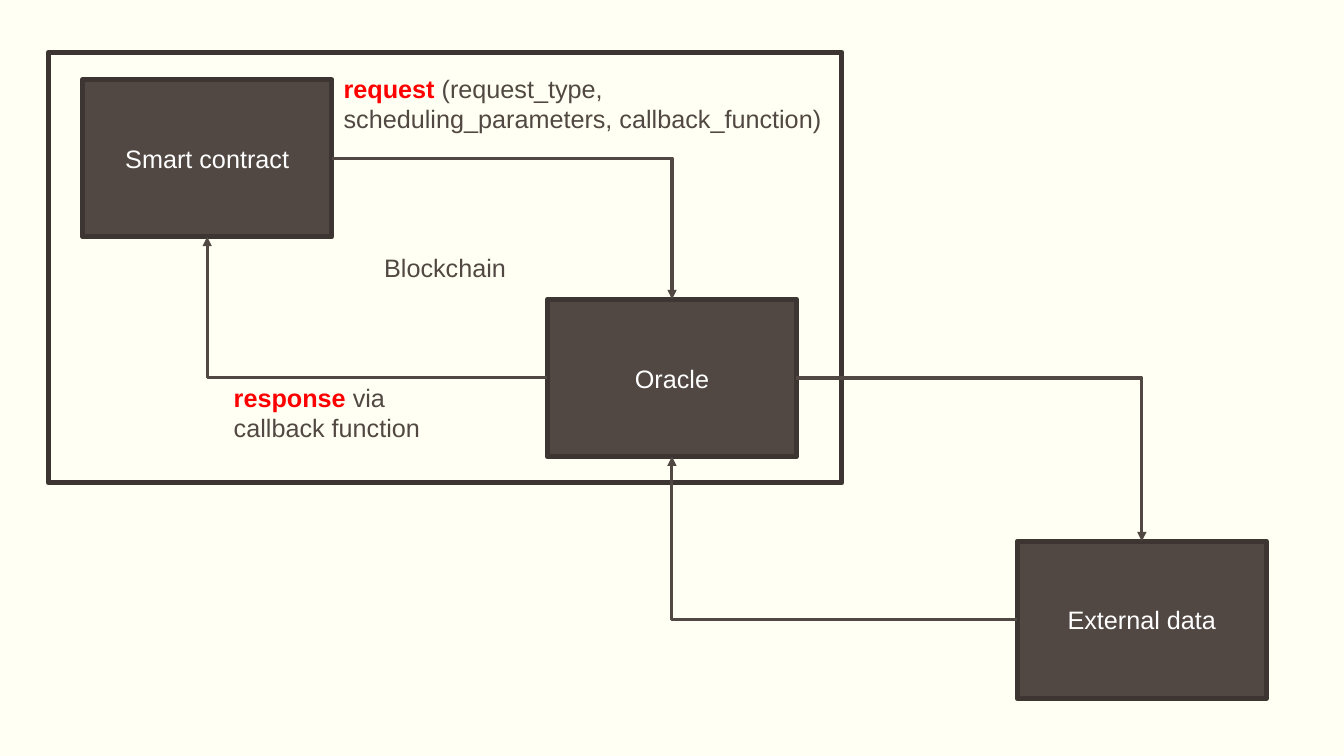
from dataclasses import dataclass

from pptx import Presentation
from pptx.dml.color import RGBColor
from pptx.enum.shapes import MSO_CONNECTOR, MSO_SHAPE
from pptx.enum.text import MSO_ANCHOR, MSO_AUTO_SIZE, PP_ALIGN
from pptx.oxml.ns import qn
from pptx.oxml.xmlchemy import OxmlElement
from pptx.util import Inches, Pt

TOP, LEFT, BOTTOM, RIGHT = range(4)


@dataclass(frozen=True)
class Theme:
    background: str = "FFFFF3"
    brown: str = "514843"
    border: str = "3C3532"
    light: str = "FFFFFF"
    accent: str = "FF0000"
    font: str = "Arial"
    text_size: float = 18
    border_width: float = 3.78
    arrow_width: float = 2.25


def rgb(color):
    return RGBColor.from_string(color)


def add_text(paragraph, text, *, color, font, size, bold=False):
    run = paragraph.add_run()
    run.text = text
    run.font.name = font
    run.font.size = Pt(size)
    run.font.bold = bold
    run.font.color.rgb = rgb(color)


class Diagram:
    def __init__(self, slide, theme):
        self.slide = slide
        self.theme = theme
        self.text_format = {"font": theme.font, "size": theme.text_size}
        slide.background.fill.solid()
        slide.background.fill.fore_color.rgb = rgb(theme.background)

    def box(self, label, left, top, width=2.47, height=1.56, filled=True):
        """Draw a bordered rectangle with a centred label."""
        theme = self.theme
        box = self.slide.shapes.add_shape(
            MSO_SHAPE.RECTANGLE, Inches(left), Inches(top), Inches(width), Inches(height)
        )
        box.shadow.inherit = False
        if filled:
            box.fill.solid()
            box.fill.fore_color.rgb = rgb(theme.brown)
        else:
            box.fill.background()
        box.line.color.rgb = rgb(theme.border)
        box.line.width = Pt(theme.border_width)
        box.text_frame.vertical_anchor = MSO_ANCHOR.MIDDLE
        paragraph = box.text_frame.paragraphs[0]
        paragraph.alignment = PP_ALIGN.CENTER
        color = theme.light if filled else theme.brown
        add_text(paragraph, label, color=color, **self.text_format)
        return box

    def arrow(self, source, source_side, target, target_side):
        """Join two boxes with an arrow that bends once."""
        arrow = self.slide.shapes.add_connector(MSO_CONNECTOR.ELBOW, 0, 0, 0, 0)
        arrow.begin_connect(source, source_side)
        arrow.end_connect(target, target_side)
        arrow.line.color.rgb = rgb(self.theme.brown)
        arrow.line.width = Pt(self.theme.arrow_width)
        properties = arrow._element.spPr
        properties.find(qn("a:prstGeom")).set("prst", "bentConnector2")
        arrowhead = OxmlElement("a:tailEnd")
        arrowhead.set("type", "triangle")
        properties.find(qn("a:ln")).append(arrowhead)
        properties.append(OxmlElement("a:effectLst"))

    def note(self, keyword, rest, second_line, left, top, width, height=0.71):
        """Write a two-line note that opens with a highlighted keyword."""
        theme = self.theme
        frame = self.slide.shapes.add_textbox(
            Inches(left), Inches(top), Inches(width), Inches(height)
        ).text_frame
        frame.word_wrap = False
        frame.auto_size = MSO_AUTO_SIZE.SHAPE_TO_FIT_TEXT
        first = frame.paragraphs[0]
        add_text(first, keyword, color=theme.accent, bold=True, **self.text_format)
        add_text(first, rest, color=theme.brown, **self.text_format)
        add_text(frame.add_paragraph(), second_line, color=theme.brown, **self.text_format)


def main():
    presentation = Presentation()
    presentation.slide_width = Inches(13.33)
    presentation.slide_height = Inches(7.5)
    slide = presentation.slides.add_slide(presentation.slide_layouts[6])
    diagram = Diagram(slide, Theme())

    smart_contract = diagram.box("Smart contract", 0.82, 0.79)
    oracle = diagram.box("Oracle", 5.43, 2.97)
    external_data = diagram.box("External data", 10.09, 5.37)
    diagram.box("Blockchain", 0.48, 0.52, 7.87, 4.27, filled=False)

    for upper, lower in ((smart_contract, oracle), (oracle, external_data)):
        diagram.arrow(upper, RIGHT, lower, TOP)
        diagram.arrow(lower, LEFT, upper, BOTTOM)

    diagram.note(
        "request ", "(request_type,", "scheduling_parameters, callback_function)",
        3.31, 0.68, 5.14,
    )
    diagram.note("response", " via", "callback function", 2.22, 3.74, 2.17)
    presentation.save("out.pptx")


if __name__ == "__main__":
    main()
